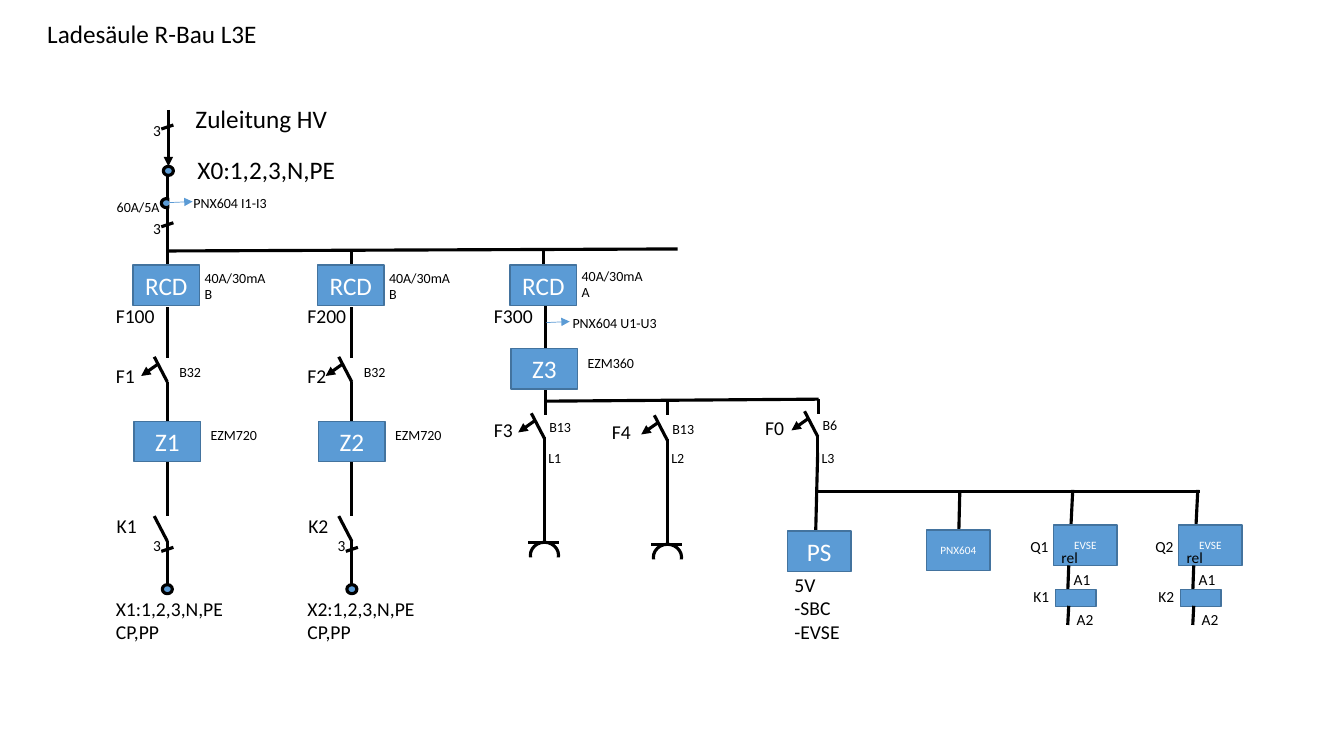
from lxml.etree import SubElement
from pptx import Presentation
from pptx.dml.color import RGBColor
from pptx.enum.shapes import MSO_CONNECTOR, MSO_SHAPE
from pptx.enum.text import MSO_ANCHOR, MSO_AUTO_SIZE, PP_ALIGN
from pptx.oxml.ns import qn
from pptx.util import Inches, Pt

COLORS = {"wire": "000000", "text": "000000", "device": "5B9BD5",
          "border": "43739E", "paper": "FFFFFF"}


def rgb(name):
    """Return the named colour."""
    return RGBColor.from_string(COLORS[name])


def format_text(tf, lines, size, color, align):
    """Write one paragraph per line."""
    tf.text = "\n".join(lines)
    for p in tf.paragraphs:
        p.alignment = align
        for r in p.runs:
            r.font.name = "Calibri"
            r.font.size = Pt(size)
            r.font.color.rgb = rgb(color)


def label(s, x, y, w, size, *lines):
    """Add an unwrapped text box whose height follows its lines."""
    h = 0.1 + len(lines) * size * 1.22 / 72
    sp = s.shapes.add_textbox(Inches(x), Inches(y), Inches(w), Inches(h))
    tf = sp.text_frame
    format_text(tf, lines, size, "text", PP_ALIGN.LEFT)
    tf.word_wrap = False
    tf.auto_size = MSO_AUTO_SIZE.SHAPE_TO_FIT_TEXT


def line(s, x1, y1, x2, y2, color="wire", width=2.25, arrow=None):
    """Add a wire, with an arrowhead at headEnd or tailEnd if named."""
    sp = s.shapes.add_connector(MSO_CONNECTOR.STRAIGHT, Inches(x1), Inches(y1),
                                Inches(x2), Inches(y2))
    sp.line.width = Pt(width)
    sp.line.color.rgb = rgb(color)
    spPr = sp._element.spPr
    if arrow:
        SubElement(spPr.find(qn("a:ln")), qn(f"a:{arrow}"), type="triangle")
    SubElement(spPr, qn("a:effectLst"))


def shape(s, kind, x, y, w, h, fill, border=None, width=1):
    """Add a filled preset shape, without outline if no border is named."""
    sp = s.shapes.add_shape(kind, Inches(x), Inches(y), Inches(w), Inches(h))
    sp.shadow.inherit = False
    sp.fill.solid()
    sp.fill.fore_color.rgb = rgb(fill)
    if border:
        sp.line.color.rgb = rgb(border)
        sp.line.width = Pt(width)
    else:
        sp.line.fill.background()
    return sp


def device(s, x, y, w, text="", size=18, h=0.4):
    """Add a blue device box."""
    sp = shape(s, MSO_SHAPE.RECTANGLE, x, y, w, h, "device", "border")
    if text:
        tf = sp.text_frame
        tf.vertical_anchor = MSO_ANCHOR.MIDDLE
        format_text(tf, [text], size, "paper", PP_ALIGN.CENTER)


def terminal(s, x, y):
    """Add a round terminal centred on x."""
    shape(s, MSO_SHAPE.OVAL, x - 0.05, y, 0.1, 0.09, "device", "wire", 2.25)


def three_phase(s, x, y, label_y):
    """Add the slash and count that mark three conductors."""
    line(s, x + 0.06, y, x - 0.06, y + 0.04)
    label(s, x - 0.24, label_y, 0.28, 11, "3")


def lever(s, x, y):
    """Add a switch lever that ends on the wire at x."""
    line(s, x - 0.13, y, x, y + 0.25)


def breaker(s, x, y):
    """Add a circuit breaker: lever and trip arrow."""
    lever(s, x, y)
    line(s, x - 0.26, y + 0.19, x - 0.09, y + 0.07, arrow="headEnd")


def rcd(s, x, y, label_x, name, kind):
    """Add a residual current device with its rating and name."""
    device(s, x - 0.34, 2.63, 0.66, "RCD")
    label(s, x + 0.27, y, 0.82, 10, "40A/30mA", kind)
    label(s, label_x, 2.97, 0.59, 14, name)


def supply(s):
    """Add the incoming supply and current transformer."""
    line(s, 1.67, 1.09, 1.67, 1.65, arrow="tailEnd")
    line(s, 1.66, 1.74, 1.66, 2.65)
    terminal(s, 1.67, 1.65)
    label(s, 1.84, 0.98, 1.52, 18, "Zuleitung HV")
    label(s, 1.86, 1.48, 1.58, 18, "X0:1,2,3,N,PE")
    for y in (1.24, 2.21):
        three_phase(s, 1.66, y, y - 0.09)
    terminal(s, 1.65, 1.97)
    shape(s, MSO_SHAPE.RECTANGLE, 1.68, 1.93, 0.07, 0.16, "paper")
    line(s, 1.68, 2.01, 1.91, 2, "device", 0.5, "tailEnd")
    label(s, 1.06, 1.92, 0.63, 10, "60A/5A")
    label(s, 1.82, 1.88, 1, 10, "PNX604 I1-I3")


def charging_branch(s, n, x, label_x):
    """Add a charging outlet with breaker, meter and contactor."""
    rcd(s, x, 2.62, label_x, f"F{n}00", "B")
    line(s, x, 3.05, x, 3.55)
    breaker(s, x, 3.54)
    label(s, x + 0.02, 3.56, 0.42, 10, "B32")
    label(s, label_x, 3.56, 0.39, 14, f"F{n}")
    line(s, x, 3.79, x, 5.12)
    device(s, x - 0.33, 4.18, 0.66, f"Z{n}")
    label(s, x + 0.33, 4.18, 0.69, 10, "EZM720")
    lever(s, x, 5.12)
    label(s, label_x + 0.01, 5.05, 0.4, 14, f"K{n}")
    line(s, x, 5.37, x, 5.8)
    three_phase(s, x, 5.43, 5.27)
    terminal(s, x, 5.8)
    label(s, label_x, 5.87, 1.28, 14, f"X{n}:1,2,3,N,PE", "CP,PP")


def final_circuit(s, x, y, label_x, name, rating, phase):
    """Add a single-phase breaker with its labels."""
    breaker(s, x, y)
    label(s, label_x, y, 0.39, 14, name)
    label(s, x - 0.05, y, 0.42, 10, rating)
    label(s, x - 0.06, 4.41, 0.33, 10, phase)


def socket(s, x, y):
    """Add a wire that ends in a socket outlet at y."""
    line(s, x, y - 1.04, x, y)
    shape(s, MSO_SHAPE.OVAL, x - 0.14, y, 0.28, 0.26, "paper", "wire", 2.25)
    shape(s, MSO_SHAPE.RECTANGLE, x - 0.16, y + 0.15, 0.34, 0.15, "paper")
    line(s, x - 0.16, y, x + 0.14, y)


def metering_branch(s):
    """Add the third RCD, its meter and the socket circuits."""
    rcd(s, 5.4, 2.6, 4.8, "F300", "A")
    line(s, 5.41, 3.04, 5.41, 4.12)
    device(s, 5.07, 3.46, 0.66, "Z3")
    label(s, 5.73, 3.47, 0.69, 10, "EZM360")
    line(s, 5.42, 3.2, 5.65, 3.19, "device", 0.5, "tailEnd")
    label(s, 5.58, 3.07, 1.11, 10, "PNX604 U1-U3")
    line(s, 5.4, 3.98, 8.12, 3.96)
    line(s, 6.62, 3.98, 6.62, 4.12)
    line(s, 8.12, 3.96, 8.12, 4.11)
    final_circuit(s, 5.4, 4.1, 4.8, "F3", "B13", "L1")
    final_circuit(s, 6.62, 4.12, 5.97, "F4", "B13", "L2")
    socket(s, 5.4, 5.38)
    socket(s, 6.62, 5.4)


def control_branch(s):
    """Add the power supply and analyser on the control bus."""
    final_circuit(s, 8.11, 4.08, 7.49, "F0", "B6", "L3")
    line(s, 8.11, 4.33, 8.11, 4.51)
    line(s, 8.11, 4.49, 8.09, 5.29)
    line(s, 8.11, 4.88, 11.9, 4.88)
    device(s, 7.81, 5.27, 0.63, "PS")
    label(s, 7.78, 5.63, 0.65, 14, "5V", "-SBC", "-EVSE")
    line(s, 9.52, 4.87, 9.51, 5.27)
    device(s, 9.19, 5.26, 0.63, "PNX604", 8)


def controller(s, n, x):
    """Add a charge controller and the relay coil below it."""
    line(s, x + 0.19, 4.86, x + 0.17, 5.26)
    device(s, x, 5.21, 0.63, "EVSE", 8)
    line(s, x + 0.15, 5.61, x + 0.14, 5.88)
    device(s, x + 0.02, 5.85, 0.4, h=0.17)
    line(s, x + 0.15, 6.01, x + 0.14, 6.2)
    for dx, y, w, text in ((-0.3, 5.78, 0.36, f"K{n}"), (0.1, 5.61, 0.37, "A1"),
                           (0.13, 6, 0.37, "A2"), (-0.33, 5.28, 0.38, f"Q{n}"),
                           (-0.02, 5.39, 0.37, "rel")):
        label(s, x + dx, y, w, 11, text)


def main():
    """Build the wiring diagram slide."""
    prs = Presentation()
    prs.slide_width, prs.slide_height = Inches(13.33), Inches(7.5)
    s = prs.slides.add_slide(prs.slide_layouts[6])
    label(s, 0.37, 0.13, 2.3, 18, "Ladesäule R-Bau L3E")
    supply(s)
    line(s, 1.66, 2.49, 6.72, 2.47)
    for x in (3.49, 5.39):
        line(s, x, 2.48, x, 2.62)
    charging_branch(s, 1, 1.66, 1.05)
    charging_branch(s, 2, 3.49, 2.95)
    metering_branch(s)
    control_branch(s)
    for n in (1, 2):
        controller(s, n, 10.45 + 1.24 * (n - 1))
    prs.save("out.pptx")


if __name__ == "__main__":
    main()
